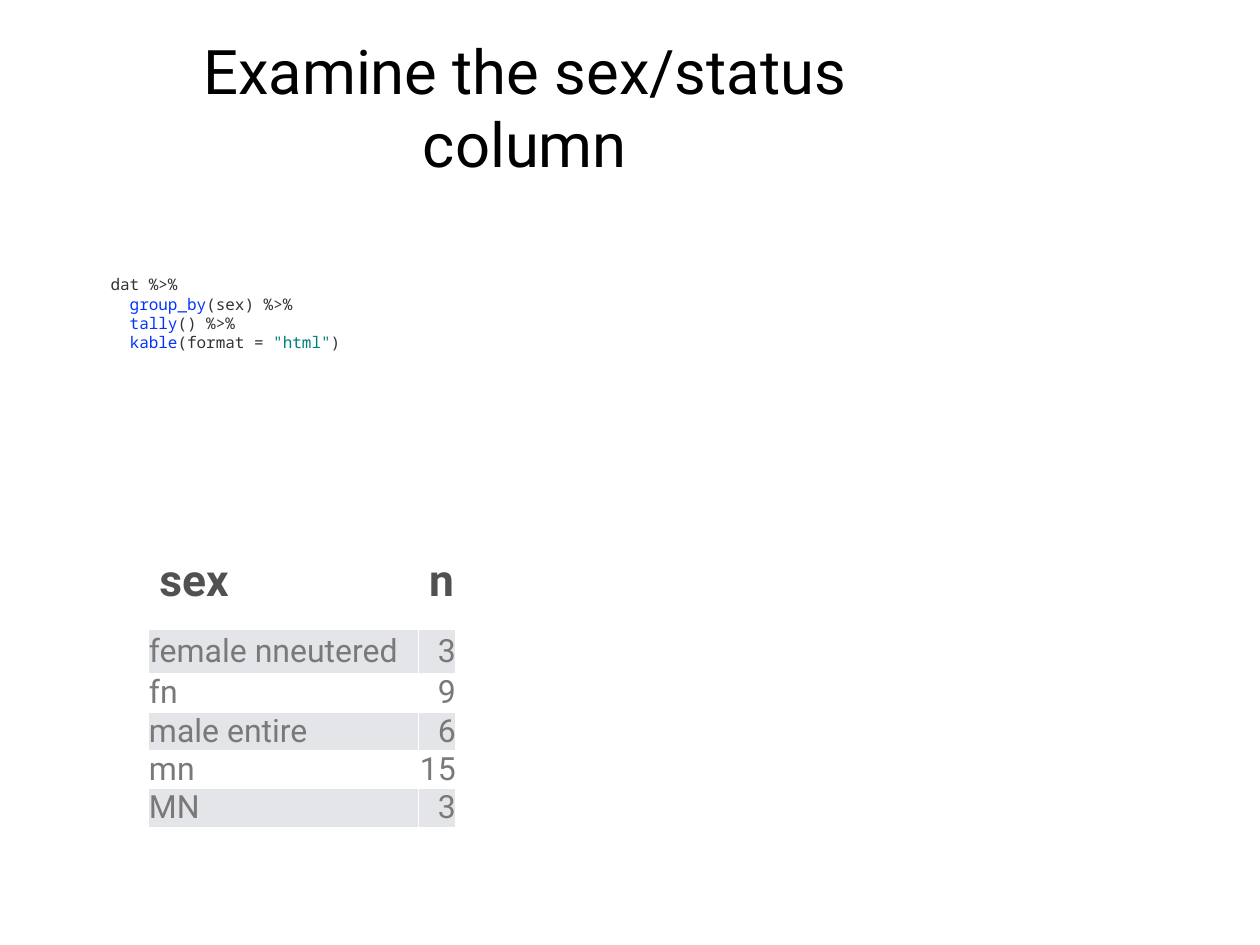
from pptx import Presentation
from pptx.dml.color import RGBColor
from pptx.enum import text
from pptx.util import Cm, Pt

COLORS = {"title": "000000", "code": "323333", "function": "0433FF", "string": "008080",
          "header": "515151", "body": "797979", "band": "E3E5E8", "plain": "FFFFFF"}
CODE = [
    [("dat %>%", "code")],
    [("  ", "string"), ("group_by", "function"), ("(sex) %>%", "code")],
    [("  ", "string"), ("tally", "function"), ("() %>% ", "code")],
    [("  ", "string"), ("kable", "function"), ("(format = ", "code"),
     ('"html"', "string"), (")", "code")],
]
COUNTS = [("sex", "n"), ("female nneutered", "3"), ("fn", "9"), ("male entire", "6"),
          ("mn", "15"), ("MN", "3")]


def write(paragraph, wording, color, size, font="Roboto", bold=False, align=None, spacing=None):
    """Append a formatted run to a paragraph."""
    run = paragraph.add_run()
    run.text = wording
    run.font.name, run.font.size, run.font.bold = font, Pt(size), bold
    run.font.color.rgb = RGBColor.from_string(COLORS[color])
    paragraph.alignment = align
    paragraph.line_spacing = spacing


def set_frame(frame, wrap):
    """Centre a text frame vertically and give it small even margins."""
    frame.word_wrap = wrap
    frame.auto_size = text.MSO_AUTO_SIZE.NONE
    frame.vertical_anchor = text.MSO_ANCHOR.MIDDLE
    frame.margin_left = frame.margin_right = Cm(0.15)
    frame.margin_top = frame.margin_bottom = Cm(0.15)


def add_heading(slide, left, top, width, height):
    """Place the slide title in the given box."""
    heading = slide.shapes.title
    heading.left, heading.top, heading.width, heading.height = left, top, width, height
    set_frame(heading.text_frame, True)
    write(heading.text_frame.paragraphs[0], "Examine the sex/status column", "title", 50,
          align=text.PP_ALIGN.CENTER, spacing=1.0)


def add_code(slide, left, top, width, height):
    """Place the coloured code listing in the given box."""
    frame = slide.shapes.add_textbox(left, top, width, height).text_frame
    set_frame(frame, False)
    for index, line in enumerate(CODE):
        paragraph = frame.add_paragraph() if index else frame.paragraphs[0]
        for wording, color in line:
            write(paragraph, wording, color, 13, font="Noto Sans Mono", spacing=Pt(15.7))


def add_counts(slide, left, top, width, height):
    """Place the banded table of counts in the given box."""
    header_height, first_height, count_width = Cm(2.8), Cm(1.26), Cm(1.07)
    row_height = (height - header_height - first_height) // (len(COUNTS) - 2)
    counts = slide.shapes.add_table(len(COUNTS), 2, left, top, width, height).table
    counts.columns[0].width, counts.columns[1].width = width - count_width, count_width
    for row, values in enumerate(COUNTS):
        counts.rows[row].height = (header_height, first_height)[row] if row < 2 else row_height
        for column, value in enumerate(values):
            cell = counts.cell(row, column)
            cell.fill.solid()
            cell.fill.fore_color.rgb = RGBColor.from_string(COLORS["band" if row % 2 else "plain"])
            cell.vertical_anchor = text.MSO_ANCHOR.MIDDLE
            cell.margin_left = cell.margin_right = Cm(0 if row else 0.3)
            cell.margin_top = cell.margin_bottom = Cm(0 if row else 0.63)
            align = text.PP_ALIGN.RIGHT if row and column else text.PP_ALIGN.LEFT
            write(cell.text_frame.paragraphs[0], value, "body" if row else "header",
                  26 if row else 36, bold=not row, align=align)


def build():
    """Build the slide and save it."""
    deck = Presentation()
    deck.slide_width, deck.slide_height = Cm(36.12), Cm(27.1)
    slide = deck.slides.add_slide(deck.slide_layouts[5])
    add_heading(slide, Cm(3.6), Cm(0.75), Cm(22.9), Cm(4.6))
    add_code(slide, Cm(3.02), Cm(7.72), Cm(6.93), Cm(2.54))
    add_counts(slide, Cm(4.27), Cm(15.26), Cm(8.8), Cm(8.46))
    deck.save("out.pptx")


build()
